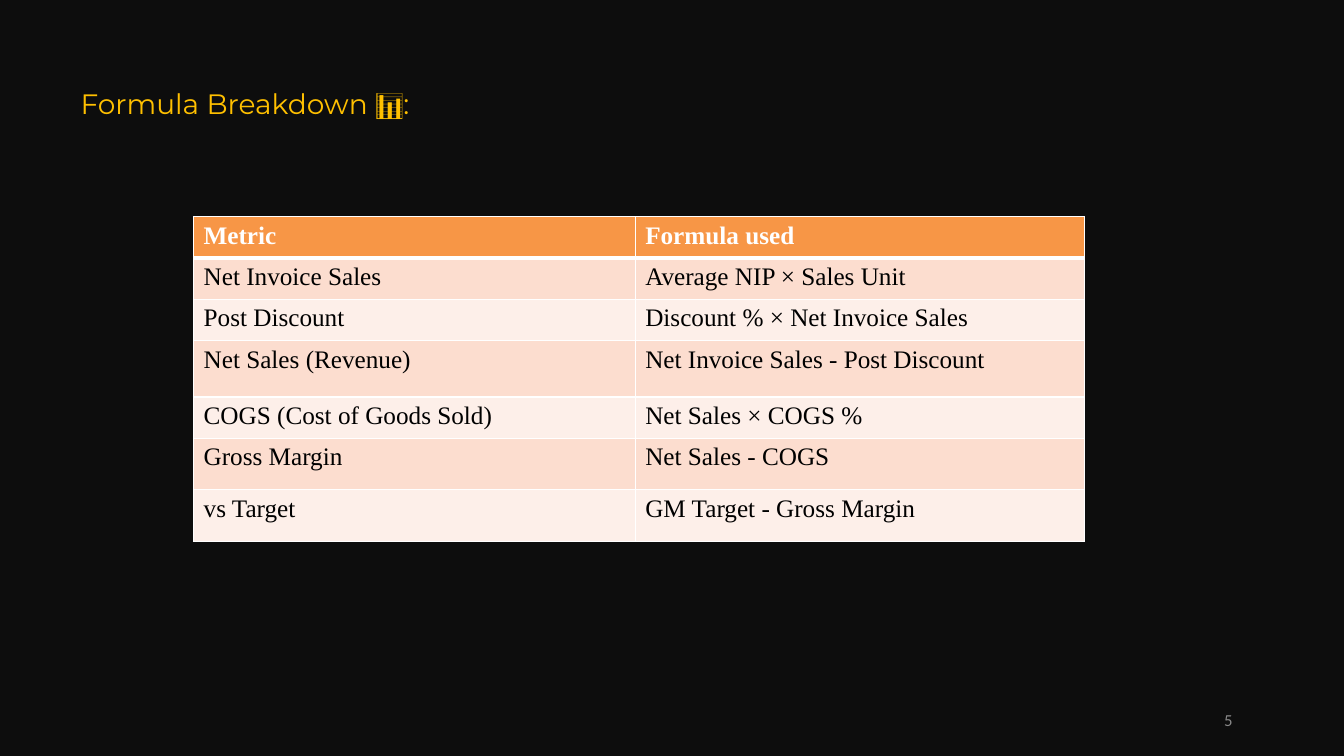
from dataclasses import dataclass
from lxml.etree import SubElement as Sub
from pptx import Presentation
from pptx.dml.color import RGBColor as RGB
from pptx.enum.text import MSO_ANCHOR as Anchor, MSO_AUTO_SIZE as Fit, PP_ALIGN as Align
from pptx.oxml.ns import qn
from pptx.util import Inches, Pt

TITLE = "Formula Breakdown 📊:"
PAGE = "5"
ROWS = [
    ("Metric", "Formula used"),
    ("Net Invoice Sales", "Average NIP × Sales Unit"),
    ("Post Discount", "Discount % × Net Invoice Sales"),
    ("Net Sales (Revenue)", "Net Invoice Sales - Post Discount"),
    ("COGS (Cost of Goods Sold)", "Net Sales × COGS %"),
    ("Gross Margin", "Net Sales - COGS"),
    ("vs Target", "GM Target - Gross Margin"),
]
WIDTHS = (4.38, 4.46)
HEIGHTS = (0.41, 0.41, 0.41, 0.56, 0.41, 0.51, 0.51)


@dataclass(frozen=True)
class Theme:
    back: str = "0D0D0D"
    gold: str = "FFC000"
    grey: str = "888888"
    head: str = "F79646"
    bands: tuple = ("FDEFE9", "FCDDCF")
    white: str = "FFFFFF"
    black: str = "000000"
    title: tuple = ("Montserrat", 20)
    body: tuple = ("Times New Roman", 18)
    page: tuple = ("Calibri", 12)


THEME = Theme()


def style(frame, face, color, bold=False):
    name, size = face
    for run in frame.paragraphs[0].runs:
        font = run.font
        font.name, font.size, font.bold = name, Pt(size), bold
        font.color.rgb = RGB.from_string(color)


def fit_box(shape, left, top, width, height):
    """Place a text shape and drop its inner margins."""
    shape.left, shape.top = Inches(left), Inches(top)
    shape.width, shape.height = Inches(width), Inches(height)
    frame = shape.text_frame
    frame.margin_left = frame.margin_right = 0
    frame.margin_top = frame.margin_bottom = 0
    frame.word_wrap, frame.auto_size = True, Fit.NONE
    frame.vertical_anchor = Anchor.TOP
    frame.paragraphs[0].alignment = Align.LEFT
    return frame


def add_rules(cell, widths):
    """Draw cell borders; widths are points for left, right, top, bottom."""
    props = cell._tc.get_or_add_tcPr()
    for side, width in zip("LRTB", widths):
        line = Sub(props, qn(f"a:ln{side}"), w=str(Pt(width)))
        Sub(Sub(line, qn("a:solidFill")), qn("a:srgbClr"), val=THEME.white)


def add_title(slide):
    title = slide.shapes.title
    title.text_frame.text = TITLE
    style(fit_box(title, 0.8, 0.86, 10.93, 0.34), THEME.title, THEME.gold)


def add_page(slide):
    box = slide.shapes.add_textbox(0, 0, 0, 0)
    box.text_frame.text = PAGE
    frame = fit_box(box, 12.14, 7.07, 0.23, 0.2)
    frame.paragraphs[0].line_spacing = Pt(12.4)
    style(frame, THEME.page, THEME.grey)


def add_grid(slide):
    grid = slide.shapes.add_table(
        len(ROWS), len(WIDTHS), Inches(1.92), Inches(2.15),
        Inches(sum(WIDTHS)), Inches(sum(HEIGHTS))).table
    for col, width in zip(grid.columns, WIDTHS):
        col.width = Inches(width)
    for r, (row, height) in enumerate(zip(ROWS, HEIGHTS)):
        grid.rows[r].height = Inches(height)
        head = r == 0
        for c, text in enumerate(row):
            cell = grid.cell(r, c)
            cell.text_frame.text = text
            style(cell.text_frame, THEME.body,
                  THEME.white if head else THEME.black, head)
            add_rules(cell, (1, 1, 3 if r == 1 else 1, 3 if head else 1))
            cell.fill.solid()
            fill = THEME.head if head else THEME.bands[r % 2]
            cell.fill.fore_color.rgb = RGB.from_string(fill)


def main():
    deck = Presentation()
    deck.slide_width, deck.slide_height = Inches(13.33), Inches(7.5)
    slide = deck.slides.add_slide(deck.slide_layouts[5])
    slide.background.fill.solid()
    slide.background.fill.fore_color.rgb = RGB.from_string(THEME.back)
    add_title(slide)
    add_page(slide)
    add_grid(slide)
    deck.save("out.pptx")


if __name__ == "__main__":
    main()
